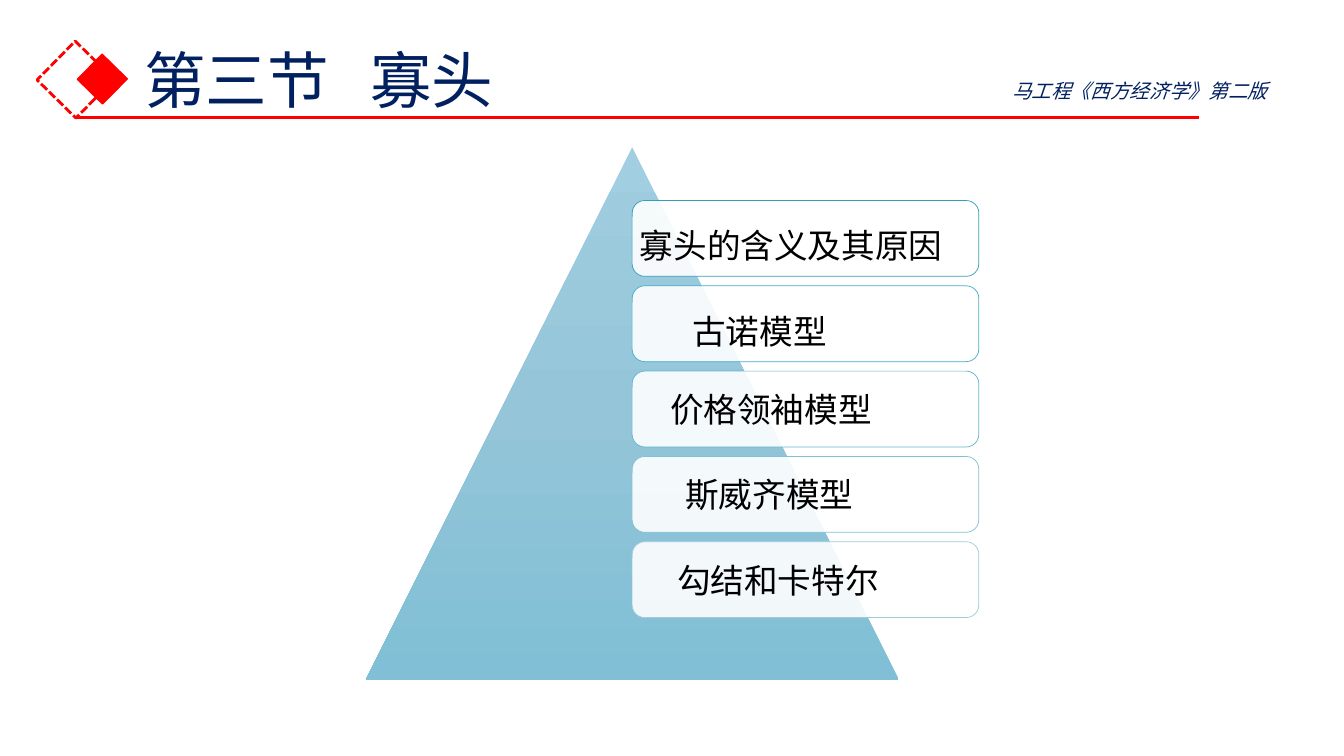
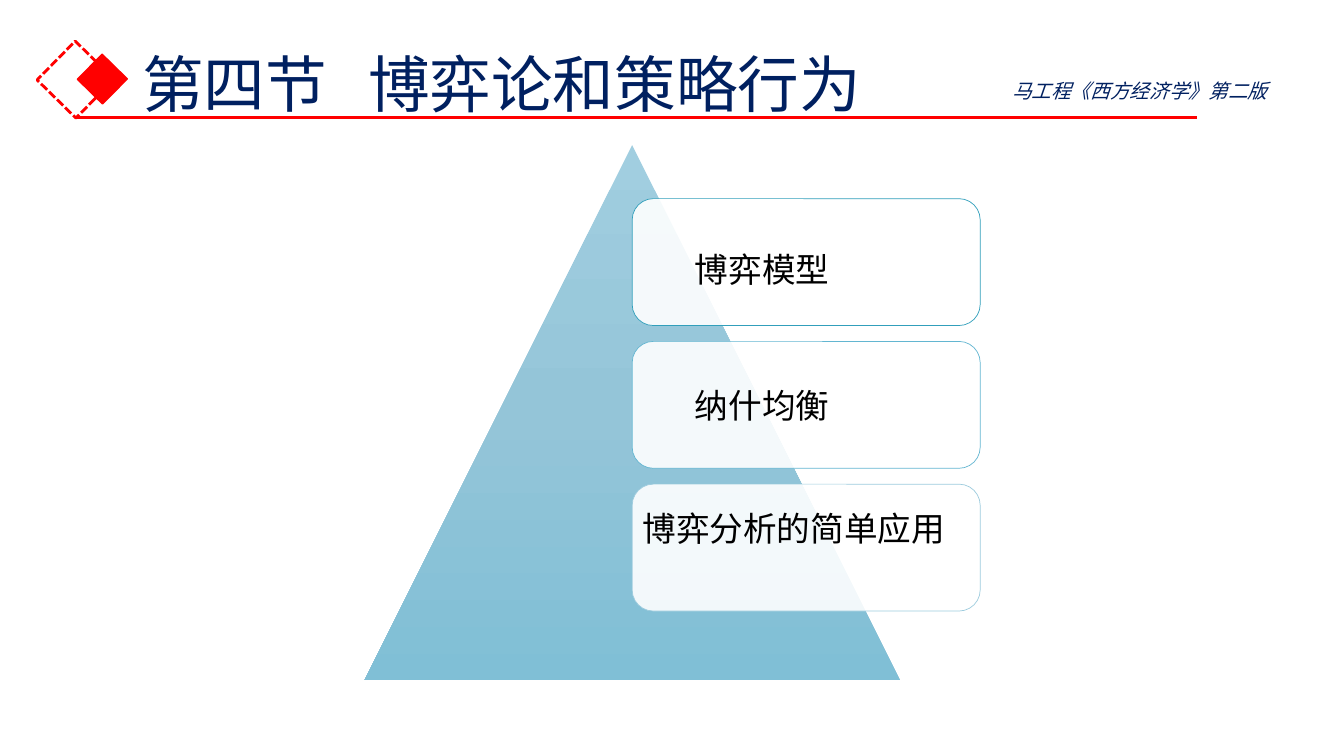
from copy import deepcopy

from lxml import etree
from pptx import Presentation
from pptx.dml.color import RGBColor
from pptx.enum.dml import MSO_LINE
from pptx.enum.shapes import MSO_CONNECTOR, MSO_SHAPE
from pptx.enum.text import MSO_ANCHOR, MSO_AUTO_SIZE, PP_ALIGN
from pptx.oxml.ns import qn
from pptx.util import Pt

PX = 9144  # EMU per px, 100 px to the inch
RECT, ROUND_RECT = MSO_SHAPE.RECTANGLE, MSO_SHAPE.ROUNDED_RECTANGLE
TRIANGLE, STRAIGHT = MSO_SHAPE.ISOSCELES_TRIANGLE, MSO_CONNECTOR.STRAIGHT
DASH, LEFT, MIDDLE = MSO_LINE.SQUARE_DOT, PP_ALIGN.LEFT, MSO_ANCHOR.MIDDLE
NO_FIT = MSO_AUTO_SIZE.NONE

FONT = "Noto Sans CJK SC"
NAVY = RGBColor(0x00, 0x20, 0x60)
RED = RGBColor(0xFF, 0x00, 0x00)
WHITE = RGBColor(0xFF, 0xFF, 0xFF)
BLACK = RGBColor(0x00, 0x00, 0x00)
PYRAMID_STOPS = [
    (0, RGBColor(0xA1, 0xCE, 0xE0)),
    (0.5, RGBColor(0x94, 0xC5, 0xD8)),
    (1, RGBColor(0x80, 0xBF, 0xD6)),
]
BOX_LINES = [
    RGBColor(0x31, 0x9F, 0xBB),
    RGBColor(0x45, 0xAD, 0xCB),
    RGBColor(0x63, 0xB6, 0xD1),
    RGBColor(0x81, 0xC0, 0xD7),
    RGBColor(0x9E, 0xCC, 0xDE),
]
BOOK = "马工程《西方经济学》第二版"


def px(*lengths):
    return [round(n * PX) for n in lengths]


def write(tf, text, size, color, italic=False, spacing=None):
    tf.word_wrap = True
    p = tf.paragraphs[0]
    p.alignment = LEFT
    if spacing:
        p.line_spacing = spacing
    r = p.add_run()
    r.text = text
    font = r.font
    font.size, font.italic, font.name = Pt(size), italic, FONT
    font.color.rgb = color
    etree.SubElement(r._r.get_or_add_rPr(), qn("a:ea"), typeface=FONT)
    return p


class Deck:
    def __init__(self):
        self.prs = Presentation()
        self.prs.slide_width, self.prs.slide_height = px(1333, 750)
        self.slide = None

    def add_slide(self, title, left, top):
        self.slide = self.prs.slides.add_slide(self.prs.slide_layouts[5])
        self.title(title, left, top)
        self.band(left + 1056)

    def title(self, text, left, top):
        sp = self.slide.shapes.title
        sp.left, sp.top, sp.width, sp.height = px(left, top, 1242 - left, 145)
        tf = sp.text_frame
        tf.vertical_anchor, tf.auto_size = MIDDLE, NO_FIT
        p = write(tf, text, 44, NAVY, spacing=0.9)
        tabs = etree.SubElement(p._p.get_or_add_pPr(), qn("a:tabLst"))
        etree.SubElement(tabs, qn("a:tab"), pos=str(224 * PX), algn="l")

    def band(self, line_end):
        """Red diamonds, rule and book name at the head of the slide."""
        for left, top, side, fill, weight in ((48, 52, 54, None, 2), (84, 61, 35, RED, 1)):
            sp = self.shape(RECT, left, top, side, side, fill, RED, weight)
            sp.rotation = 314.5
            if fill is None:
                sp.line.dash_style = DASH
        line = self.slide.shapes.add_connector(STRAIGHT, *px(75, 117, line_end, 117))
        line.line.color.rgb, line.line.width = RED, Pt(2.25)
        etree.SubElement(line._element.spPr, qn("a:effectLst"))
        book = self.slide.shapes.add_textbox(*px(994, 73, 324, 34))
        write(book.text_frame, BOOK, 14, NAVY, italic=True)

    def shape(self, kind, left, top, width, height, fill=None, line=None, weight=1):
        sp = self.slide.shapes.add_shape(kind, *px(left, top, width, height))
        sp.shadow.inherit = False
        if fill is None:
            sp.fill.background()
        else:
            sp.fill.solid()
            sp.fill.fore_color.rgb = fill
        if line is None:
            sp.line.fill.background()
        else:
            sp.line.color.rgb, sp.line.width = line, Pt(weight)
        return sp

    def pyramid(self, side, items, lines):
        """Triangle with a column of boxes; items are (text, indent, drop)."""
        center, bottom = 627, 675
        top = bottom - side
        sp = self.shape(TRIANGLE, center - side / 2, top, side, side)
        sp.fill.gradient()
        sp.fill.gradient_angle = 270
        first = sp._element.spPr.find(".//" + qn("a:gs"))
        first.addnext(deepcopy(first))
        for stop, (position, color) in zip(sp.fill.gradient_stops, PYRAMID_STOPS):
            stop.position, stop.color.rgb = position, color
        pitch = 0.8 * side / len(items)
        for i, (item, line) in enumerate(zip(items, lines)):
            self.box(top + side / 10 + i * pitch, 0.65 * side, pitch * 8 / 9, line, *item)

    def box(self, top, width, height, line, text, indent, drop):
        sp = self.shape(ROUND_RECT, 627, top, width, height, WHITE, line, 0.5)
        color = sp._element.spPr.find(qn("a:solidFill"))[0]
        etree.SubElement(color, qn("a:alpha"), val="90000")
        tf = sp.text_frame
        tf.vertical_anchor = MIDDLE
        pad = height / 6
        tf.margin_left, tf.margin_right = px(4 + indent, 4)
        tf.margin_top, tf.margin_bottom = px(pad + drop, pad - drop)
        write(tf, text, 24, BLACK)


def main():
    deck = Deck()
    deck.add_slide("第三节\t寡头", 133, 10)
    deck.pyramid(529, [
        ("寡头的含义及其原因", 0, 7),
        ("古诺模型", 52, 7),
        ("价格领袖模型", 30, 0),
        ("斯威齐模型", 45, 0),
        ("勾结和卡特尔", 37, 0),
    ], BOX_LINES)
    deck.add_slide("第四节\t博弈论和策略行为", 131, 14)
    deck.pyramid(531, [
        ("博弈模型", 52, 7),
        ("纳什均衡", 52, 0),
        ("博弈分析的简单应用", 0, -19),
    ], BOX_LINES[::2])
    deck.prs.save("out.pptx")


if __name__ == "__main__":
    main()
